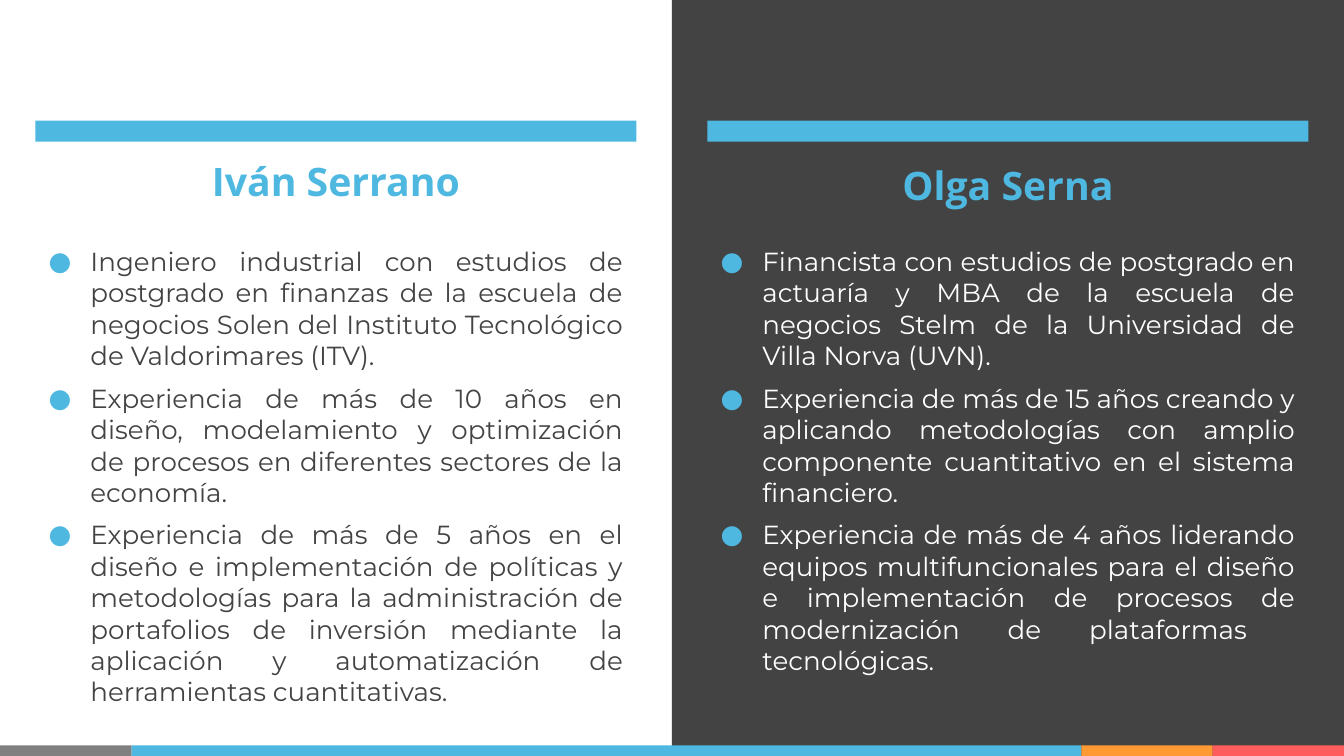
from lxml import etree
from pptx import Presentation
from pptx.dml.color import RGBColor
from pptx.enum.shapes import MSO_SHAPE
from pptx.enum.text import MSO_ANCHOR, PP_ALIGN
from pptx.oxml.ns import qn
from pptx.util import Cm, Pt

RECT = MSO_SHAPE.RECTANGLE
TOP, MIDDLE = MSO_ANCHOR.TOP, MSO_ANCHOR.MIDDLE
CENTER, JUSTIFY = PP_ALIGN.CENTER, PP_ALIGN.JUSTIFY

WIDTH, HEIGHT = 25.4, 14.29
HALF = WIDTH / 2
MARGIN = 0.67
STRIP_TOP = 14.09
BLUE, DARK, WHITE = "4EB8E1", "434343", "FFFFFF"
TITLE_FONT, BODY_FONT = "Open Sans", "Montserrat"
STRIP = [(2.49, "808080"), (17.95, BLUE), (2.48, "FF9933"), (2.48, "FF5D5D")]

PROFILES = [
    {
        "name": "Iván Serrano",
        "color": DARK,
        "title_format": {},
        "items": [
            "Ingeniero industrial con estudios de postgrado en finanzas de la escuela "
            "de negocios Solen del Instituto Tecnológico de Valdorimares (ITV).",
            "Experiencia de más de 10 años en diseño, modelamiento y optimización "
            "de procesos en diferentes sectores de la economía.",
            "Experiencia de más de 5 años en el diseño e implementación de políticas "
            "y metodologías para la administración de portafolios de inversión "
            "mediante la aplicación y automatización de herramientas cuantitativas.",
        ],
    },
    {
        "name": "Olga Serna",
        "color": WHITE,
        "title_format": {"line_spacing": 1.15, "space_after": Pt(16)},
        "items": [
            "Financista con estudios de postgrado en actuaría y MBA de la escuela "
            "de negocios Stelm de la Universidad de Villa Norva (UVN).",
            "Experiencia de más de 15 años creando y aplicando metodologías con "
            "amplio componente cuantitativo en el sistema financiero.",
            "Experiencia de más de 4 años liderando equipos multifuncionales para "
            "el diseño e implementación de procesos de modernización de "
            "plataformas  tecnológicas.",
        ],
    },
]


def rgb(color):
    return RGBColor.from_string(color)


def set_format(target, values):
    for name, value in values.items():
        setattr(target, name, value)


def add_bar(s, left, top, width, height, color):
    bar = s.shapes.add_shape(RECT, Cm(left), Cm(top), Cm(width), Cm(height))
    bar.shadow.inherit = False
    bar.fill.solid()
    bar.fill.fore_color.rgb = rgb(color)
    bar.line.fill.background()


def add_text_frame(s, left, top, width, height, anchor):
    tf = s.shapes.add_textbox(Cm(left), Cm(top), Cm(width), Cm(height)).text_frame
    sides = ("margin_left", "margin_top", "margin_right", "margin_bottom")
    set_format(tf, dict.fromkeys(sides, Cm(0.25)))
    set_format(tf, {"word_wrap": True, "vertical_anchor": anchor})
    return tf


def add_run(p, text, color, font):
    r = p.add_run()
    r.text = text
    r.font.color.rgb = rgb(color)
    set_format(r.font, font)


def add_bullet(p, color):
    pPr = p._p.get_or_add_pPr()
    pPr.set("marL", str(Cm(0.79)))
    pPr.set("indent", str(-Cm(0.79)))
    bu_color = etree.SubElement(pPr, qn("a:buClr"))
    etree.SubElement(bu_color, qn("a:srgbClr"), val=color)
    etree.SubElement(pPr, qn("a:buFont"), typeface=BODY_FONT)
    etree.SubElement(pPr, qn("a:buChar"), char="●")


def add_profile(s, left, top, width, profile):
    add_bar(s, left, top, width, 0.4, BLUE)

    title = add_text_frame(s, left, top + 0.43, width, 1.42, MIDDLE)
    p = title.paragraphs[0]
    set_format(p, {"alignment": CENTER, **profile["title_format"]})
    add_run(p, profile["name"], BLUE,
            {"name": TITLE_FONT, "size": Pt(21), "bold": True})

    body = add_text_frame(s, left, top + 2.11, width, 9, TOP)
    for i, item in enumerate(profile["items"]):
        p = body.add_paragraph() if i else body.paragraphs[0]
        set_format(p, {"alignment": JUSTIFY, "space_after": Pt(6)})
        add_bullet(p, BLUE)
        add_run(p, item, profile["color"], {"name": BODY_FONT, "size": Pt(14)})


def add_strip(s, left, top, height):
    for width, color in STRIP:
        add_bar(s, left, top, width, height, color)
        left += width


def main():
    prs = Presentation()
    set_format(prs, {"slide_width": Cm(WIDTH), "slide_height": Cm(HEIGHT)})
    s = prs.slides.add_slide(prs.slide_layouts[6])

    add_bar(s, HALF, 0, HALF, HEIGHT, DARK)
    add_strip(s, 0, STRIP_TOP, HEIGHT - STRIP_TOP)
    for i, profile in enumerate(PROFILES):
        add_profile(s, i * HALF + MARGIN, 2.28, HALF - 2 * MARGIN, profile)

    prs.save("out.pptx")


if __name__ == "__main__":
    main()
